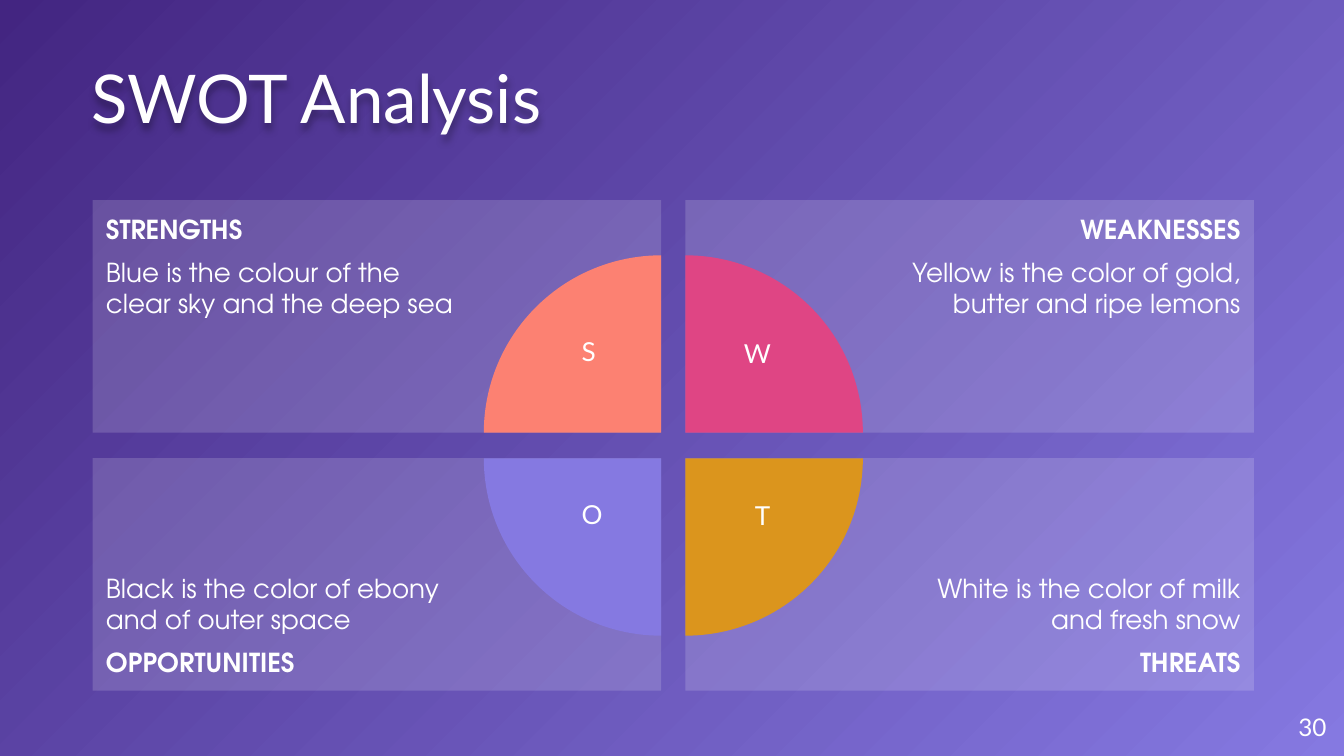
"""Build a SWOT analysis slide with four panels around a split circle."""
import lxml.etree
import pptx
import pptx.dml.color
import pptx.enum.shapes
import pptx.enum.text
import pptx.oxml
import pptx.oxml.ns
import pptx.util

Inches = pptx.util.Inches
Align = pptx.enum.text.PP_ALIGN
Anchor = pptx.enum.text.MSO_ANCHOR
Shape = pptx.enum.shapes.MSO_SHAPE
qn = pptx.oxml.ns.qn

WHITE = "FFFFFF"
PANEL_WIDTH, PANEL_HEIGHT = 4.23, 1.73
LEFTS, TOPS = (0.69, 5.1), (1.49, 3.41)
RADIUS = 1.32

QUADRANTS = [
    (0, 0, 0, "FC8172", "STRENGTHS", "Blue is the colour of the clear sky and the deep sea"),
    (1, 0, 90, "DF4584", "WEAKNESSES", "Yellow is the color of gold, butter and ripe lemons"),
    (1, 1, 180, "DB951D", "THREATS", "White is the color of milk and fresh snow"),
    (0, 1, 270, "8579E1", "OPPORTUNITIES", "Black is the color of ebony and of outer space"),
]
LETTERS = [
    ("S", 4.2, 2.45, 0.36),
    ("W", 5.31, 2.46, 0.65),
    ("O", 4.16, 3.66, 0.49),
    ("T", 5.44, 3.67, 0.47),
]


def color(value):
    return pptx.dml.color.RGBColor.from_string(value)


class SwotSlide:
    heading_font = "Lato"
    panel_font = "TeX Gyre Adventor"

    def __init__(self, deck):
        self.page = deck.slides.add_slide(deck.slide_layouts[5])

    def background(self, start, end):
        fill = self.page.background.fill
        fill.gradient()
        for stop, value in zip(fill.gradient_stops, (start, end)):
            stop.color.rgb = color(value)
        linear = next(self.page.element.iter(qn("a:lin")))
        radial = lxml.etree.Element(qn("a:path"), {"path": "circle"})
        lxml.etree.SubElement(radial, qn("a:fillToRect"), {"l": "100000", "t": "100000"})
        linear.getparent().replace(linear, radial)

    def frame(self, box, margins, anchor):
        frame = box.text_frame
        frame.word_wrap = True
        frame.auto_size = pptx.enum.text.MSO_AUTO_SIZE.NONE
        frame.vertical_anchor = anchor
        frame.margin_left, frame.margin_top, frame.margin_right, frame.margin_bottom = map(Inches, margins)
        return frame

    def span(self, para, text, size, font, bold=False):
        span = para.add_run()
        span.text = text
        span.font.size = pptx.util.Pt(size)
        span.font.name = font
        span.font.bold = bold
        span.font.color.rgb = color(WHITE)

    def title(self, text):
        box = self.page.shapes.title
        box.left, box.top, box.width, box.height = map(Inches, (0.68, 0.41, 8.64, 0.62))
        para = self.frame(box, (0, 0, 0, 0), Anchor.BOTTOM).paragraphs[0]
        para.alignment = Align.LEFT
        para.line_spacing = 0.9
        self.span(para, text, 36, self.heading_font)
        effects = lxml.etree.SubElement(box.element.spPr, qn("a:effectLst"))
        shadow = lxml.etree.SubElement(
            effects, qn("a:outerShdw"), {"blurRad": "50800", "dist": "38100", "dir": "5400000", "algn": "t"})
        tone = lxml.etree.SubElement(shadow, qn("a:srgbClr"), {"val": "000000"})
        lxml.etree.SubElement(tone, qn("a:alpha"), {"val": "30000"})

    def label(self, text, left, top, width, height, size=14,
              align=Align.CENTER, margins=(0.1, 0.05, 0.1, 0.05), anchor=Anchor.TOP):
        box = self.page.shapes.add_textbox(*map(Inches, (left, top, width, height)))
        para = self.frame(box, margins, anchor).paragraphs[0]
        para.alignment = align
        self.span(para, text, size, self.heading_font)

    def shape(self, kind, left, top, width, height, fill):
        shape = self.page.shapes.add_shape(kind, *map(Inches, (left, top, width, height)))
        shape.shadow.inherit = False
        shape.fill.solid()
        shape.fill.fore_color.rgb = color(fill)
        shape.line.fill.background()
        return shape

    def panel(self, column, row, heading, text):
        panel = self.shape(Shape.RECTANGLE, LEFTS[column], TOPS[row], PANEL_WIDTH, PANEL_HEIGHT, WHITE)
        tone = next(panel.element.spPr.iter(qn("a:srgbClr")))
        lxml.etree.SubElement(tone, qn("a:alpha"), {"val": "16000"})
        margins = (1.5, 0.1, 0.1, 0.1) if column else (0.1, 0.1, 1.5, 0.1)
        frame = self.frame(panel, margins, Anchor.BOTTOM if row else Anchor.TOP)
        first, second = frame.paragraphs[0], frame.add_paragraph()
        second.space_before = second.space_after = pptx.util.Pt(6)
        for para in (first, second):
            para.alignment = Align.RIGHT if column else Align.LEFT
        heading_para, text_para = (second, first) if row else (first, second)
        self.span(heading_para, heading, 14, self.panel_font, bold=True)
        self.span(text_para, text, 14, self.panel_font)

    def quarter(self, column, row, rotation, fill):
        center_x = LEFTS[1] if column else LEFTS[0] + PANEL_WIDTH
        center_y = TOPS[1] if row else TOPS[0] + PANEL_HEIGHT
        pie = self.shape(Shape.PIE, center_x - RADIUS, center_y - RADIUS, 2 * RADIUS, 2 * RADIUS, fill)
        pie.adjustments[0], pie.adjustments[1] = 108, 162
        pie.rotation = rotation


def main():
    deck = pptx.Presentation()
    deck.slide_width = Inches(10)
    deck.slide_height = deck.slide_width * 9 // 16
    slide = SwotSlide(deck)
    slide.background("8579E1", "432581")
    slide.title("SWOT Analysis")
    slide.label("30", 9.27, 5.19, 0.6, 0.43, 13, Align.RIGHT, (0, 0, 0, 0), Anchor.MIDDLE)
    for column, row, rotation, fill, heading, text in QUADRANTS:
        slide.panel(column, row, heading, text)
    for column, row, rotation, fill, heading, text in QUADRANTS:
        slide.quarter(column, row, rotation, fill)
    for letter, left, top, width in LETTERS:
        slide.label(letter, left, top, width, 0.5)
    deck.save("out.pptx")


if __name__ == "__main__":
    main()
